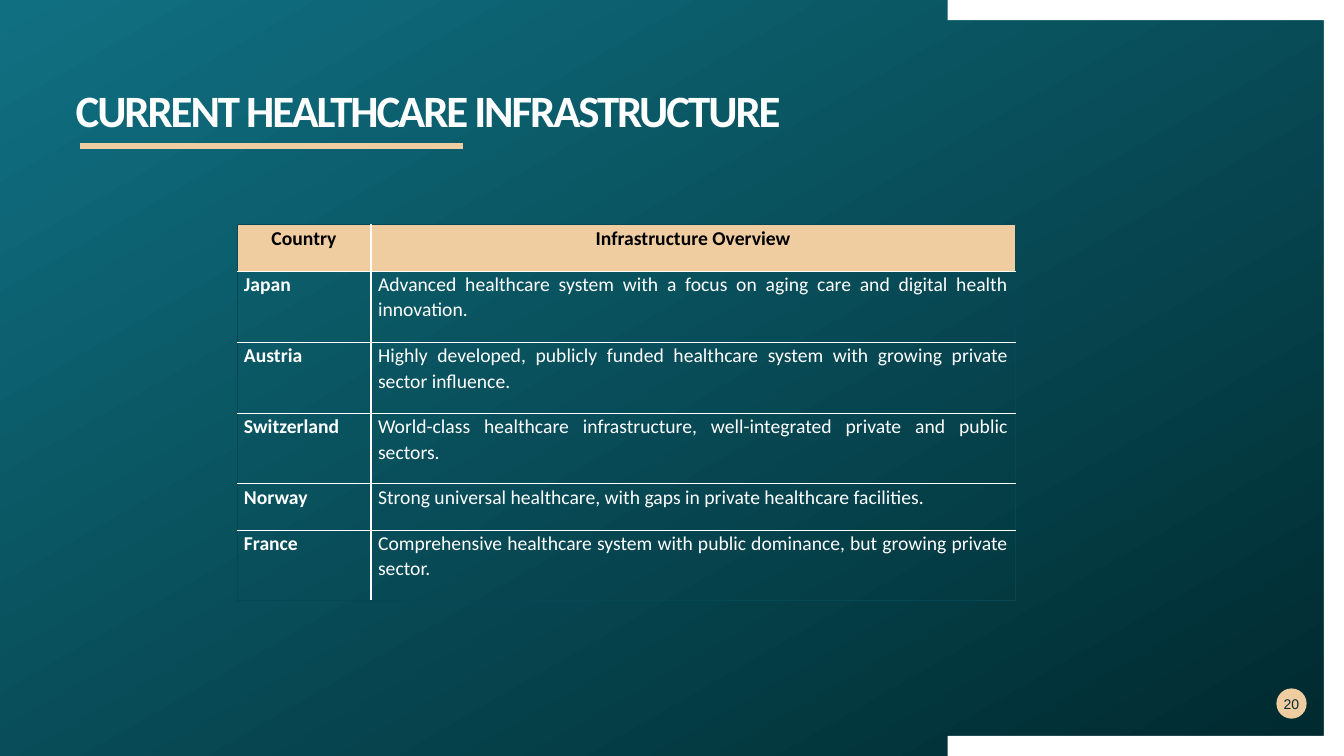
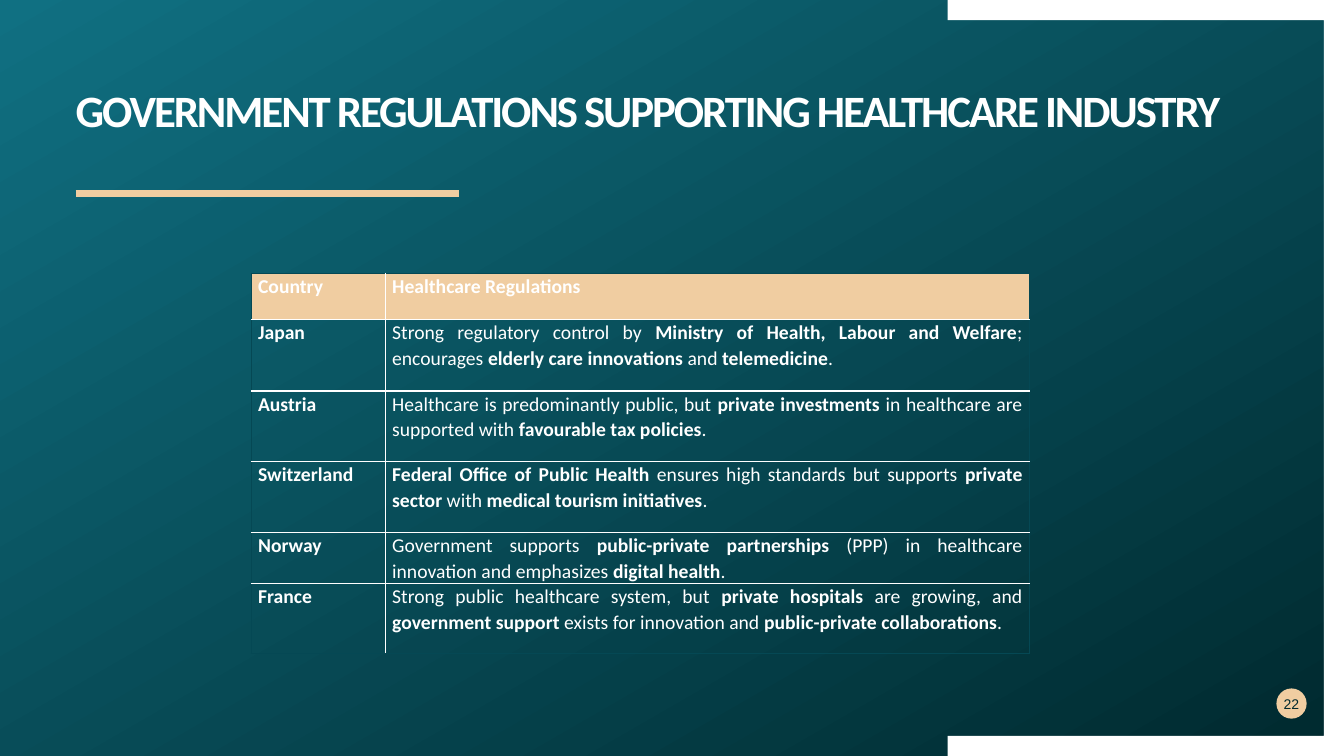
from lxml import etree
from pptx import Presentation
from pptx.dml.color import RGBColor
from pptx.enum.shapes import MSO_CONNECTOR, MSO_SHAPE
from pptx.enum.text import MSO_ANCHOR, MSO_AUTO_SIZE, PP_ALIGN
from pptx.oxml.ns import qn
from pptx.util import Inches, Pt

STRAIGHT = MSO_CONNECTOR.STRAIGHT
OVAL = MSO_SHAPE.OVAL
TOP, MIDDLE = MSO_ANCHOR.TOP, MSO_ANCHOR.MIDDLE
NO_FIT = MSO_AUTO_SIZE.NONE
LEFT, CENTER, JUSTIFY = PP_ALIGN.LEFT, PP_ALIGN.CENTER, PP_ALIGN.JUSTIFY

WHITE, BLACK, SAND = "FFFFFF", "000000", "F0CDA1"
DARK, TEAL, EDGE = "00292E", "107082", "054854"
SLIDE_WIDTH, SLIDE_HEIGHT = 13.33, 7.5
BAND_LEFT, BAND_SIZE = 9.4, 0.2
TITLE_LEFT, TITLE_TOP, TITLE_HEIGHT = 0.75, 0.88, 0.4
RULE_LENGTH = 3.8
COLUMN_WIDTHS = (1.33, 6.39)
ROW_HEIGHTS = (0.46, 0.71, 0.7, 0.7, 0.46, 0.7)
NO_MARGINS = dict.fromkeys(
    ("margin_left", "margin_right", "margin_top", "margin_bottom"), 0)
CELL_FORMAT = {**NO_MARGINS, "margin_left": Inches(0.07),
               "margin_right": Inches(0.07), "vertical_anchor": TOP}

SLIDES = [
    {
        "number": "20",
        "title": "CURRENT HEALTHCARE INFRASTRUCTURE",
        "title_width": 10.93,
        "rule": (0.79, 1.45),
        "table": (2.35, 2.23),
        "header": (BLACK, CENTER),
        "rows": [
            ("Country", "Infrastructure Overview"),
            ("Japan", "Advanced healthcare system with a focus on aging care "
                      "and digital health innovation."),
            ("Austria", "Highly developed, publicly funded healthcare system "
                        "with growing private sector influence."),
            ("Switzerland", "World-class healthcare infrastructure, "
                            "well-integrated private and public sectors."),
            ("Norway", "Strong universal healthcare, with gaps in private "
                       "healthcare facilities."),
            ("France", "Comprehensive healthcare system with public "
                       "dominance, but growing private sector."),
        ],
    },
    {
        "number": "22",
        "title": "GOVERNMENT REGULATIONS SUPPORTING HEALTHCARE INDUSTRY",
        "title_width": 11.45,
        "rule": (0.75, 1.92),
        "table": (2.49, 2.71),
        "header": (WHITE, JUSTIFY),
        "rows": [
            ("Country", "Healthcare Regulations"),
            ("Japan", "Strong regulatory control by **Ministry of Health, "
                      "Labour and Welfare**; encourages **elderly care "
                      "innovations** and **telemedicine**."),
            ("Austria", "Healthcare is predominantly public, but **private "
                        "investments** in healthcare are supported with "
                        "**favourable tax policies**."),
            ("Switzerland", "**Federal Office of Public Health** ensures high "
                            "standards but supports **private sector** with "
                            "**medical tourism initiatives**."),
            ("Norway", "Government supports **public-private partnerships** "
                       "(PPP) in healthcare innovation and emphasizes "
                       "**digital health**."),
            ("France", "Strong public healthcare system, but **private "
                       "hospitals** are growing, and **government support** "
                       "exists for innovation and **public-private "
                       "collaborations**."),
        ],
    },
]


def rgb(color):
    """Turn a hex string into a colour."""
    return RGBColor.from_string(color)


def apply_format(target, values):
    """Set each named attribute of the target."""
    for name, value in values.items():
        setattr(target, name, value)


def fill_solid(target, color):
    """Fill a shape or cell with one colour."""
    target.fill.solid()
    target.fill.fore_color.rgb = rgb(color)


def style_shape(shape, color):
    """Give a shape a flat fill without line or shadow."""
    shape.shadow.inherit = False
    fill_solid(shape, color)
    shape.line.fill.background()


def add_run(paragraph, text, size, color, font="Calibri", bold=False):
    """Add formatted text to a paragraph and return the run."""
    run = paragraph.add_run()
    run.text = text
    apply_format(run.font, {"name": font, "size": Pt(size), "bold": bold})
    run.font.color.rgb = rgb(color)
    return run


def style_layout(layout, slide):
    """Put the gradient and the white bracket on the layout."""
    fill = layout.background.fill
    fill.gradient()
    fill.gradient_angle = 120
    for stop, color in zip(fill.gradient_stops, (DARK, TEAL)):
        stop.color.rgb = rgb(color)
    inner_right = SLIDE_WIDTH - BAND_SIZE
    inner_bottom = SLIDE_HEIGHT - BAND_SIZE
    corners = [(SLIDE_WIDTH, 0), (SLIDE_WIDTH, SLIDE_HEIGHT),
               (BAND_LEFT, SLIDE_HEIGHT), (BAND_LEFT, inner_bottom),
               (inner_right, inner_bottom), (inner_right, BAND_SIZE),
               (BAND_LEFT, BAND_SIZE)]
    builder = slide.shapes.build_freeform(
        Inches(BAND_LEFT), 0, scale=1.0)
    builder.add_line_segments([(Inches(x), Inches(y)) for x, y in corners])
    bracket = builder.convert_to_shape()
    style_shape(bracket, WHITE)
    layout.shapes.element.append(bracket.element)


def add_title(slide, text, width):
    """Place and format the slide title."""
    title = slide.shapes.title
    apply_format(title, {"left": Inches(TITLE_LEFT), "top": Inches(TITLE_TOP),
                         "width": Inches(width),
                         "height": Inches(TITLE_HEIGHT)})
    apply_format(title.text_frame, {**NO_MARGINS, "vertical_anchor": TOP,
                                    "auto_size": NO_FIT, "word_wrap": True})
    paragraph = title.text_frame.paragraphs[0]
    apply_format(paragraph, {"alignment": LEFT, "line_spacing": 0.9})
    run = add_run(paragraph, text, 32, WHITE, bold=True)
    run.font._element.set("spc", "-150")


def add_rule(slide, left, top):
    """Draw the sand-coloured line below the title."""
    rule = slide.shapes.add_connector(
        STRAIGHT, Inches(left), Inches(top),
        Inches(left + RULE_LENGTH), Inches(top))
    rule.line.color.rgb = rgb(SAND)
    rule.line.width = Pt(4.32)
    etree.SubElement(rule.element.spPr, qn("a:effectLst"))


def add_page_number(slide, number):
    """Draw the numbered circle at the lower right."""
    circle = slide.shapes.add_shape(
        OVAL, Inches(12.66), Inches(6.83), Inches(0.3), Inches(0.3))
    style_shape(circle, SAND)
    apply_format(circle.text_frame, {**NO_MARGINS, "vertical_anchor": MIDDLE,
                                     "word_wrap": False})
    paragraph = circle.text_frame.paragraphs[0]
    paragraph.alignment = CENTER
    add_run(paragraph, number, 10, DARK, font="Arial")


def set_borders(cell, outer_sides):
    """Draw dark hairlines on outer sides and white lines on the others."""
    properties = cell._tc.get_or_add_tcPr()
    for side, is_outer in outer_sides.items():
        color, width = (EDGE, 0.5) if is_outer else (WHITE, 1)
        line = etree.SubElement(
            properties, qn(f"a:ln{side}"), w=str(Pt(width)))
        fill = etree.SubElement(line, qn("a:solidFill"))
        etree.SubElement(fill, qn("a:srgbClr"), val=color)


def fill_cell(cell, text, color, alignment, bold):
    """Write cell text, with ** around its bold parts."""
    apply_format(cell, CELL_FORMAT)
    paragraph = cell.text_frame.paragraphs[0]
    apply_format(paragraph, {"alignment": alignment, "line_spacing": 1.07,
                             "space_after": Pt(8)})
    for index, part in enumerate(text.split("**")):
        if part:
            add_run(paragraph, part, 14, color, bold=bold or index % 2 == 1)


def add_country_table(slide, rows, left, top, header):
    """Add the two-column table of countries."""
    table = slide.shapes.add_table(
        len(rows), len(COLUMN_WIDTHS), Inches(left), Inches(top),
        Inches(sum(COLUMN_WIDTHS)), Inches(sum(ROW_HEIGHTS))).table
    table.horz_banding = False
    for column, width in zip(table.columns, COLUMN_WIDTHS):
        column.width = Inches(width)
    for row, height in zip(table.rows, ROW_HEIGHTS):
        row.height = Inches(height)
    last_row, last_column = len(rows) - 1, len(COLUMN_WIDTHS) - 1
    for row_index, texts in enumerate(rows):
        is_header = row_index == 0
        color, alignment = header if is_header else (WHITE, JUSTIFY)
        for column_index, text in enumerate(texts):
            cell = table.cell(row_index, column_index)
            fill_cell(cell, text, color, alignment,
                      bold=is_header or column_index == 0)
            set_borders(cell, {"L": column_index == 0,
                               "R": column_index == last_column,
                               "T": is_header,
                               "B": row_index == last_row})
            if is_header:
                fill_solid(cell, SAND)
            else:
                cell.fill.background()


def main():
    """Build and save the presentation."""
    presentation = Presentation()
    presentation.slide_width = Inches(SLIDE_WIDTH)
    presentation.slide_height = Inches(SLIDE_HEIGHT)
    layout = presentation.slide_layouts[5]
    for index, content in enumerate(SLIDES):
        slide = presentation.slides.add_slide(layout)
        if index == 0:
            style_layout(layout, slide)
        add_page_number(slide, content["number"])
        add_title(slide, content["title"], content["title_width"])
        add_rule(slide, *content["rule"])
        add_country_table(slide, content["rows"], *content["table"],
                          content["header"])
    presentation.save("out.pptx")


if __name__ == "__main__":
    main()
